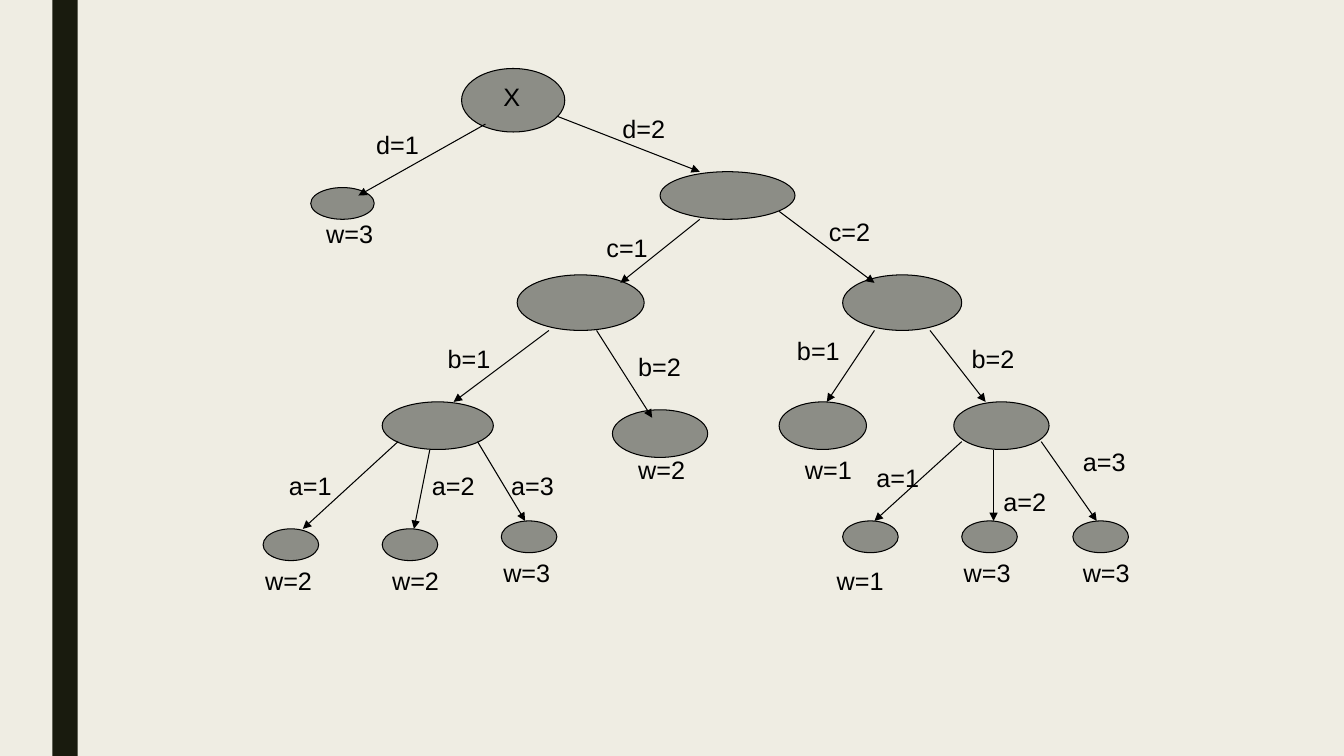
from dataclasses import dataclass

from lxml.etree import SubElement
from pptx import Presentation
from pptx.dml.color import RGBColor
from pptx.enum.shapes import MSO_CONNECTOR, MSO_SHAPE
from pptx.enum.text import MSO_AUTO_SIZE
from pptx.oxml.ns import qn
from pptx.util import Cm, Inches, Pt


@dataclass(frozen=True)
class Theme:
    """Colours, type and line sizes of the slide."""
    background: RGBColor = RGBColor(0xEF, 0xED, 0xE3)
    band: RGBColor = RGBColor(0x19, 0x1B, 0x0E)
    node: RGBColor = RGBColor(0x8C, 0x8D, 0x86)
    ink: RGBColor = RGBColor(0, 0, 0)
    font: str = "Arial"
    text_size: Pt = Pt(18)
    line_width: Pt = Pt(0.75)


@dataclass(frozen=True)
class Grid:
    """Square grid on which the tree is placed."""
    left: int
    top: int
    step: int

    def point(self, column, row):
        """Return the slide position of a grid crossing."""
        return round(self.left + column * self.step), round(self.top + row * self.step)

    def size(self, columns, rows):
        """Return the size of a span of columns and rows."""
        return round(columns * self.step), round(rows * self.step)


@dataclass(frozen=True)
class Label:
    """Text and its grid position."""
    text: str
    column: float
    row: float


@dataclass(frozen=True)
class Node:
    """Ellipse on the grid with an optional label and outgoing branches."""
    column: int
    row: int
    columns: int
    rows: int
    label: Label = None
    branches: tuple = ()


@dataclass(frozen=True)
class Branch:
    """Arrow to a child node, with the value that leads there."""
    start: tuple
    end: tuple
    label: Label
    child: Node


THEME = Theme()
LABEL_COLUMNS = {"X": 4.7, "w": 8.5}
LABEL_ROWS = 5


def leaf(column, row, text, label_column, label_row):
    """Return a small end node of the lowest level."""
    return Node(column, row, 7, 4, Label(text, label_column, label_row))


LEFT_A = Node(15, 42, 14, 6, branches=(
    Branch((17, 47), (5, 58), Label("a=1", 2, 50), leaf(0, 58, "w=2", -1, 62)),
    Branch((21, 48), (19, 58), Label("a=2", 20, 50), leaf(15, 58, "w=2", 15, 62)),
    Branch((27, 47), (33, 57), Label("a=3", 30, 50), leaf(30, 57, "w=3", 29, 61)),
))
RIGHT_A = Node(87, 42, 12, 6, branches=(
    Branch((88, 47), (77, 57), Label("a=1", 76, 49), leaf(73, 57, "w=1", 71, 62)),
    Branch((92, 48), (92, 57), Label("a=2", 92, 52), leaf(88, 57, "w=3", 87, 61)),
    Branch((98, 47), (105, 57), Label("a=3", 102, 47), leaf(102, 57, "w=3", 102, 61)),
))
LEFT_B = Node(32, 26, 16, 7, branches=(
    Branch((36, 33), (24, 42), Label("b=1", 22, 34), LEFT_A),
    Branch((42, 33), (49, 44), Label("b=2", 46, 35),
           Node(44, 43, 12, 6, Label("w=2", 46, 48))),
))
RIGHT_B = Node(73, 26, 15, 7, branches=(
    Branch((77, 33), (71, 42), Label("b=1", 66, 33),
           Node(65, 42, 11, 6, Label("w=1", 67, 48))),
    Branch((84, 33), (91, 42), Label("b=2", 88, 34), RIGHT_A),
))
NODE_C = Node(50, 13, 17, 6, branches=(
    Branch((55, 19), (45, 27), Label("c=1", 42, 20), LEFT_B),
    Branch((65, 18), (77, 27), Label("c=2", 70, 18), RIGHT_B),
))
ROOT = Node(25, 0, 13, 8, Label("X", 29, 1), (
    Branch((28, 7), (12, 16), Label("d=1", 13, 7),
           Node(6, 15, 8, 4, Label("w=3", 6.7, 18.3))),
    Branch((37, 6), (55, 13), Label("d=2", 44, 5), NODE_C),
))


def draw_side_band(slide, left, top, width, height):
    """Draw the dark vertical band in the given box."""
    shape = slide.shapes.add_shape(MSO_SHAPE.RECTANGLE, left, top, width, height)
    shape.shadow.inherit = False
    shape.fill.solid()
    shape.fill.fore_color.rgb = THEME.band
    shape.line.fill.background()


def draw_label(slide, grid, label):
    """Write one label at its place on the grid."""
    columns = LABEL_COLUMNS.get(label.text[0], 7.9)
    text_box = slide.shapes.add_textbox(
        *grid.point(label.column, label.row), *grid.size(columns, LABEL_ROWS))
    frame = text_box.text_frame
    frame.word_wrap = False
    frame.auto_size = MSO_AUTO_SIZE.SHAPE_TO_FIT_TEXT
    paragraph = frame.paragraphs[0]
    paragraph.text = label.text
    paragraph.font.name = THEME.font
    paragraph.font.size = THEME.text_size
    paragraph.font.color.rgb = THEME.ink


def draw_arrow(slide, grid, start, end):
    """Draw a thin arrow between two grid crossings."""
    connector = slide.shapes.add_connector(
        MSO_CONNECTOR.STRAIGHT, *grid.point(*start), *grid.point(*end))
    connector.line.color.rgb = THEME.ink
    connector.line.width = THEME.line_width
    SubElement(connector.line._get_or_add_ln(), qn("a:tailEnd"), type="triangle")
    SubElement(connector._element.spPr, qn("a:effectLst"))


def draw_tree(slide, grid, node):
    """Draw a node, its label and everything that branches from it."""
    shape = slide.shapes.add_shape(
        MSO_SHAPE.OVAL, *grid.point(node.column, node.row),
        *grid.size(node.columns, node.rows))
    shape.shadow.inherit = False
    shape.fill.solid()
    shape.fill.fore_color.rgb = THEME.node
    shape.line.color.rgb = THEME.ink
    shape.line.width = THEME.line_width
    if node.label:
        draw_label(slide, grid, node.label)
    for branch in node.branches:
        draw_tree(slide, grid, branch.child)
        draw_arrow(slide, grid, branch.start, branch.end)
        draw_label(slide, grid, branch.label)


def main():
    """Build the decision tree slide and save it."""
    presentation = Presentation()
    presentation.slide_width = Inches(13.33)
    presentation.slide_height = Inches(7.5)
    slide = presentation.slides.add_slide(presentation.slide_layouts[6])
    slide.background.fill.solid()
    slide.background.fill.fore_color.rgb = THEME.background
    draw_side_band(slide, Inches(0.52), 0, Inches(0.25), presentation.slide_height)
    draw_tree(slide, Grid(Inches(2.61), Inches(0.68), Cm(0.2)), ROOT)
    presentation.save("out.pptx")


if __name__ == "__main__":
    main()
